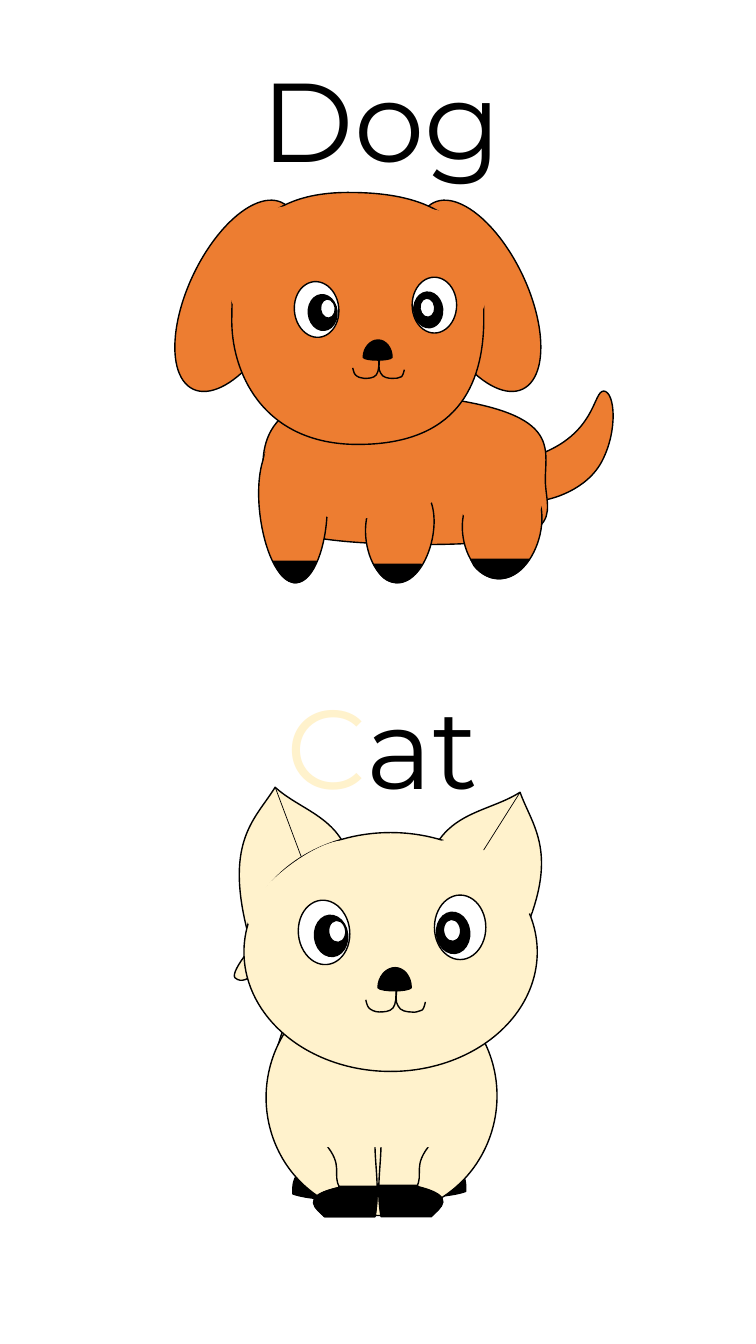
import math
from dataclasses import dataclass

import lxml.etree
import pptx
import pptx.dml.color
import pptx.enum.shapes
import pptx.enum.text
import pptx.util

Pt = pptx.util.Pt
Color = pptx.dml.color.RGBColor.from_string
SHAPES = pptx.enum.shapes.MSO_SHAPE
DRAWINGML = "{http://schemas.openxmlformats.org/drawingml/2006/main}"
TAGS = {"M": "moveTo", "L": "lnTo", "C": "cubicBezTo", "Z": "close"}


@dataclass(frozen=True)
class Theme:
    black: str = "000000"
    white: str = "FFFFFF"
    cream: str = "FFF2CC"
    orange: str = "ED7D31"
    font: str = "Montserrat"
    word_size: float = 80
    outline: float = 1
    crease: float = 0.5


THEME = Theme()


@dataclass
class Box:
    left: float
    top: float
    width: float


def read_path(path):
    """Split M, L and C commands into strokes with their points as complex numbers."""
    strokes, numbers = [], []
    for token in path.split():
        if token in TAGS:
            command = token
            continue
        numbers.append(float(token))
        if len(numbers) == (6 if command == "C" else 2):
            strokes.append((command, [complex(x, y) for x, y in zip(numbers[::2], numbers[1::2])]))
            numbers = []
    return strokes


def edge_points(strokes, steps=24):
    points = []
    for command, ends in strokes:
        if command == "C":
            a, (b, c, d) = points[-1], ends
            for t in (step / steps for step in range(1, steps + 1)):
                u = 1 - t
                points.append(u**3 * a + 3 * u * u * t * b + 3 * u * t * t * c + t**3 * d)
        else:
            points += ends
    return points


class Drawing:
    """Places parts, given in drawing units, inside a box given in points."""

    def __init__(self, shapes, box, units_wide):
        self.shapes, self.box = shapes, box
        self.scale = box.width / units_wide

    def inner_box(self, x, y, width):
        return Box(self.box.left + x * self.scale, self.box.top + y * self.scale, width * self.scale)

    def place(self, x, y):
        inner = self.inner_box(x, y, 0)
        return Pt(inner.left), Pt(inner.top)

    def frame(self, x, y, width, height):
        return *self.place(x, y), Pt(width * self.scale), Pt(height * self.scale)

    def paint(self, part, fill, line, rotation):
        part.shadow.inherit = False
        part.rotation = rotation % 360
        for surface, color in ((part.fill, fill), (part.line.fill, line)):
            if color:
                surface.solid()
                surface.fore_color.rgb = Color(color)
            else:
                surface.background()
        if line:
            part.line.width = Pt(THEME.outline)

    def preset(self, frame, fill, line=THEME.black, rotation=0, kind=SHAPES.OVAL):
        self.paint(self.shapes.add_shape(kind, *self.frame(*frame)), fill, line, rotation)

    def outline(self, path, fill=None, line=THEME.black, rotation=0, mirror=None):
        """Draw a path; mirror is (sum of x and its reflection, shift down)."""
        across, drop = mirror or (0, 0)
        rotation = -rotation if mirror else rotation
        angle = math.radians(rotation)
        turn = complex(math.cos(angle), math.sin(angle))
        strokes = [(command, [complex(*self.place(across - p.real if mirror else p.real, p.imag + drop))
                              / turn for p in points]) for command, points in read_path(path)]
        edge = edge_points(strokes)
        xs, ys = [round(p.real) for p in edge], [round(p.imag) for p in edge]
        left, top = min(xs), min(ys)
        builder = self.shapes.build_freeform(left, top)
        builder.add_line_segments([(max(xs), max(ys))], close=False)
        part = builder.convert_to_shape()
        contour = part._element.find(f".//{DRAWINGML}path")
        for segment in list(contour):
            contour.remove(segment)
        for command, points in strokes + ([("Z", [])] if path.endswith("Z") else []):
            segment = lxml.etree.SubElement(contour, DRAWINGML + TAGS[command])
            for p in points:
                lxml.etree.SubElement(segment, DRAWINGML + "pt",
                                      x=str(round(p.real) - left), y=str(round(p.imag) - top))
        center = complex(left + part.width / 2, top + part.height / 2) * turn
        part.left = round(center.real - part.width / 2)
        part.top = round(center.imag - part.height / 2)
        self.paint(part, fill, line, rotation)

    def crease(self, start, end):
        fold = self.shapes.add_connector(pptx.enum.shapes.MSO_CONNECTOR.STRAIGHT,
                                         *self.place(*start), *self.place(*end))
        fold.line.color.rgb = Color(THEME.black)
        fold.line.width = Pt(THEME.crease)
        lxml.etree.SubElement(fold._element.spPr, DRAWINGML + "effectLst")

    def word(self, frame, *pieces):
        label = self.shapes.add_textbox(*self.frame(*frame)).text_frame
        label.word_wrap = True
        label.auto_size = pptx.enum.text.MSO_AUTO_SIZE.SHAPE_TO_FIT_TEXT
        for letters, color in pieces:
            run = label.paragraphs[0].add_run()
            run.text = letters
            for name, value in {"name": THEME.font, "size": Pt(THEME.word_size)}.items():
                setattr(run.font, name, value)
            run.font.color.rgb = Color(color)


def draw_face(shapes, box):
    face, tilt = Drawing(shapes, box, 186), -5.7
    face.preset((135, 0, 51, 64), THEME.white)
    face.preset((0, 5, 51, 64), THEME.white, rotation=tilt)
    for pupil in ((16, 20), (137, 17)):
        face.preset((*pupil, 33, 41), THEME.black, rotation=tilt)
    for glint in ((144, 24), (30, 25)):
        face.preset((*glint, 17, 22), THEME.white, rotation=tilt)
    nose = "M 112 92 C 112 81 105 72 96 72 87 72 79 81 79 92 82 96 109 96 112 92 Z"
    face.outline(nose, THEME.black)
    face.outline("M 98 92 C 97 99 96 106 99 110 101 115 108 116 112 116 "
                 "116 117 120 115 123 114 125 112 126 106 126 106", rotation=7.3)
    face.outline("M 97 93 C 97 101 97 108 94 112 91 116 84 116 80 116 "
                 "76 116 72 114 70 112 68 110 67 104 67 104")


def draw_cat(slide, box):
    cat, fur = Drawing(slide.shapes.add_group_shape().shapes, box, 400), THEME.cream
    for mirror in (None, (352.5, 2.5)):
        cat.outline("M 161 530 C 161 486 200 476 211 481 221 486 259 535 222 561 223 569 263 539 261 580 "
                    "250 585 217 589 201 581 184 573 160 573 161 530 Z", fur, mirror=mirror)
        cat.outline("M 247 559 C 240 560 232 563 227 564 L 197 580 202 582 C 218 591 251 586 262 582 "
                    "263 564 256 559 247 559 Z", THEME.black, rotation=240.1, mirror=mirror)
    tail = ("M 33 370 C 28 364 57 326 72 324 87 323 108 320 125 364 86 540 168 501 176 537 "
            "156 542 120 550 80 493 58 435 96 411 98 361 91 350 87 345 76 347 65 349 46 382 33 370 Z")
    cat.outline(tail, fur)
    cat.preset((64, 370, 229, 236), fur, rotation=6.4)
    for ear, rotation in (("M 45 322 C 23 233 54 212 73 181 97 203 134 210 146 249 Z", 339),
                          ("M 318 330 C 356 246 328 220 316 186 288 204 250 205 231 241 Z", 30.9)):
        cat.outline(ear, fur, rotation=rotation)
    cat.crease((73, 181), (109, 277))
    cat.crease((316, 186), (251, 289))
    cat.preset((42, 226, 291, 237), fur)
    draw_face(cat.shapes, cat.inner_box(96, 288, 186))
    for ear_base, rotation in (((33, 256, 130, 42), 322.2), ((224, 245, 106, 42), 211.3),
                               ((229, 263, 106, 28), 211.3)):
        cat.preset(ear_base, fur, None, rotation)
    for mirror in (None, (350, 0)):
        cat.outline("M 172 534 L 122 534 C 142 557 129 565 137 578 95 587 115 599 122 607 "
                    "L 172 607 C 177 579 172 558 172 534 Z", fur, mirror=mirror)
    cat.preset((114, 470, 119, 68), fur, None, kind=SHAPES.RECTANGLE)
    for mirror in (None, (350.5, -1)):
        cat.outline("M 136 577 L 174 577 174 578 C 174 587 174 597 172 607 L 122 607 "
                    "C 115 600 95 588 137 578 Z", THEME.black, mirror=mirror)
    cat.word((74, 67, 251, 145), ("C", THEME.cream), ("at", THEME.black))


def draw_dog(slide, box):
    dog, fur = Drawing(slide.shapes.add_group_shape().shapes, box, 550), THEME.orange
    dog.outline("M 432 452 C 492 431 488 388 499 388 510 389 513 426 498 456 "
                "483 487 444 497 433 497 422 496 372 474 432 452 Z", fur, rotation=26.3)
    for ear_left, rotation in ((326, -25.4), (87, 25.4)):
        dog.preset((ear_left, 191, 97, 205), fur, rotation=rotation)
    body = ("M 161 476 C 161 451 149 378 304 391 459 405 441 441 441 476 "
            "441 511 472 543 301 540 130 537 160 501 161 476 Z")
    legs = ("M 398 574 C 356 579 336 483 398 476 460 468 441 570 398 574 Z",
            "M 297 578 C 260 582 243 487 297 480 350 472 333 573 297 578 Z",
            "M 191 578 C 227 584 244 445 191 434 137 423 154 571 191 578 Z")
    for part in (body, *legs):
        dog.outline(part, fur)
    dog.outline("M 359 466 C 373 405 186 360 164 449 141 538 345 527 359 466 Z", fur, fur, 274.9)
    dog.outline("M 130 316 C 130 265 139 189 250 191 361 192 380 247 380 316 "
                "380 385 351 441 255 441 159 441 129 367 130 316 Z", fur)
    for mirror in (None, (511, 3)):
        dog.outline("M 236 280 C 257 217 165 162 134 254 102 346 215 343 236 280 Z",
                    fur, fur, 284.1, mirror)
    dog.outline("M 401 530 C 447 527 458 454 391 457 323 460 354 533 401 530 Z", fur, fur, 352.4)
    for paw in ("M 271 560 L 318 560 314 566 C 309 573 303 577 296 578 287 579 279 574 274 565 Z",
                "M 367 555 L 425 555 419 562 C 413 569 406 573 398 574 387 575 377 570 370 561 Z",
                "M 214 557 L 171 557 175 564 C 179 572 185 577 191 578 199 579 206 573 211 563 Z"):
        dog.outline(paw, THEME.black)
    draw_face(dog.shapes, dog.inner_box(192, 275, 161))
    dog.word((150, 45, 278, 145), ("Dog", THEME.black))


deck = pptx.Presentation()
deck.slide_width, deck.slide_height = Pt(540), Pt(960)
animals = deck.slides.add_slide(deck.slide_layouts[6])
draw_cat(animals, Box(144, 432, 288))
draw_dog(animals, Box(72, 0, 396))
deck.save("out.pptx")
